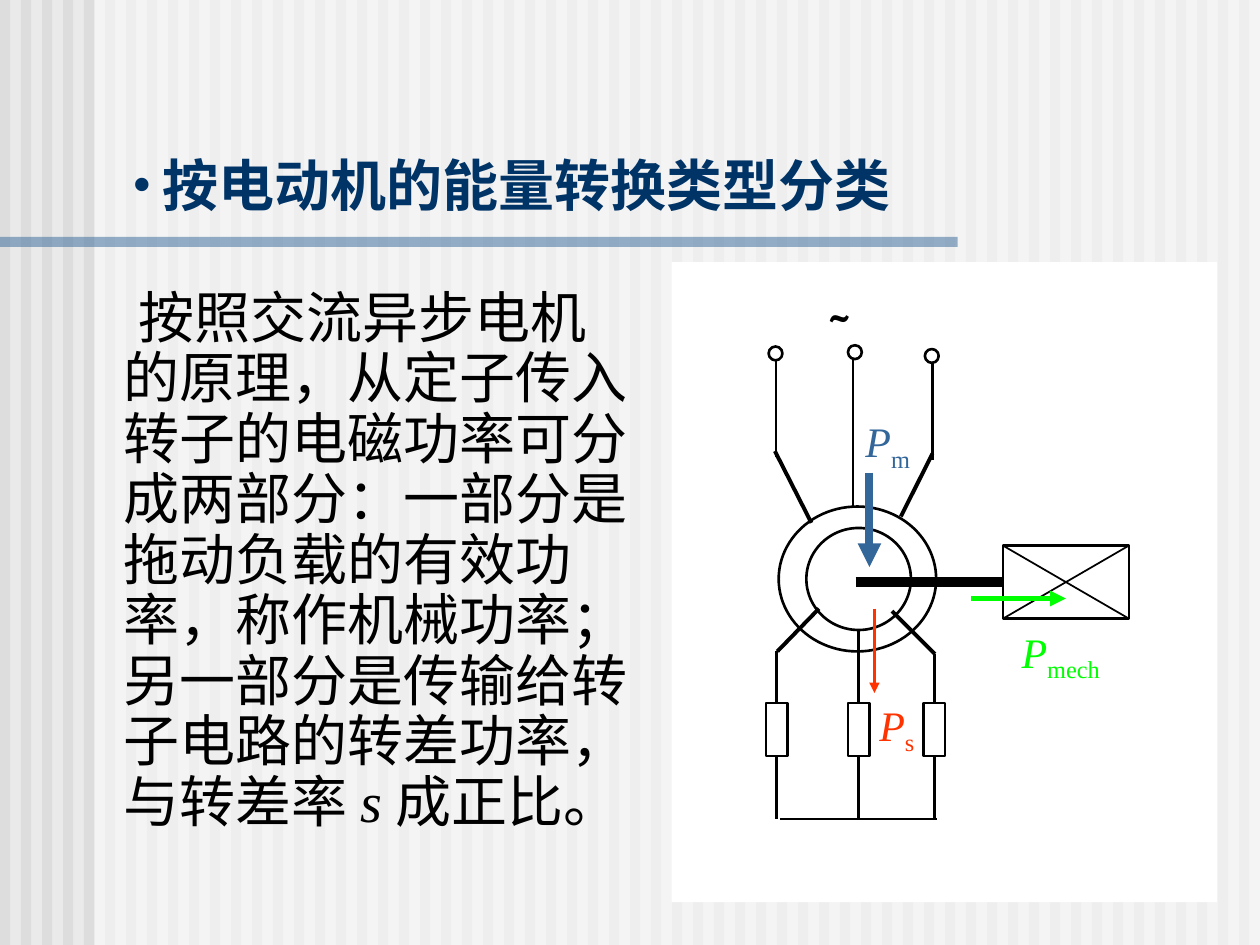
from dataclasses import dataclass
from typing import NamedTuple

from lxml.etree import SubElement
from pptx import Presentation
from pptx.dml.color import RGBColor
from pptx.enum.shapes import MSO_CONNECTOR, MSO_SHAPE
from pptx.enum.text import MSO_ANCHOR
from pptx.oxml.ns import qn
from pptx.util import Inches, Pt


@dataclass(frozen=True)
class Theme:
    back: str = "EAEAEA"
    stripe: str = "DDDDDD"
    white: str = "FFFFFF"
    black: str = "000000"
    title: str = "003366"
    blue: str = "336699"
    green: str = "00FF00"
    red: str = "FF3300"
    font: str = "Times New Roman"
    symbol_font: str = "Karla"
    text_size: int = 32
    label_size: int = 24
    thin: float = 1
    line: float = 1.5
    bold: float = 2.25
    shaft: float = 6


class Run(NamedTuple):
    text: str
    italic: bool = False
    baseline: int = 0


class Wire(NamedTuple):
    x1: float
    y1: float
    x2: float
    y2: float
    width: float


class Power(NamedTuple):
    wire: Wire
    color: str
    sub: str
    x: float
    y: float
    w: float


T = Theme()
RECT, OVAL = MSO_SHAPE.RECTANGLE, MSO_SHAPE.OVAL
TOP, LEFT, BOTTOM = 0, 1, 2


def add_shape(s, kind, x: float, y: float, w: float, h: float,
              fill: str | None = None, line: float = 0, alpha: int = 100):
    sp = s.shapes.add_shape(kind, Inches(x), Inches(y), Inches(w), Inches(h))
    sp.shadow.inherit = False
    if fill:
        sp.fill.solid()
        sp.fill.fore_color.rgb = RGBColor.from_string(fill)
        if alpha < 100:
            clr = sp._element.spPr.find(".//" + qn("a:srgbClr"))
            SubElement(clr, qn("a:alpha"), val=str(alpha * 1000))
    else:
        sp.fill.background()
    if line:
        sp.line.color.rgb = RGBColor.from_string(T.black)
        sp.line.width = Pt(line)
    else:
        sp.line.fill.background()
    return sp


def add_wire(s, wire: Wire, color: str = T.black, arrow: bool = False,
             begin=None, end=None):
    c = s.shapes.add_connector(MSO_CONNECTOR.STRAIGHT, Inches(wire.x1), Inches(wire.y1),
                               Inches(wire.x2), Inches(wire.y2))
    c.line.color.rgb = RGBColor.from_string(color)
    c.line.width = Pt(wire.width)
    if arrow:
        SubElement(c.line._get_or_add_ln(), qn("a:tailEnd"), type="triangle")
    SubElement(c._element.spPr, qn("a:effectLst"))
    if begin:
        c.begin_connect(*begin)
    if end:
        c.end_connect(*end)
    return c


def add_text(s, runs: list[Run], x: float, y: float, w: float, h: float, *,
             size: int = T.label_size, color: str = T.black, font: str = T.font,
             bold: bool = False, anchor=MSO_ANCHOR.TOP, bullet: str = "",
             margin: float = 0, indent: float = 0, spacing: float | None = None):
    tf = s.shapes.add_textbox(Inches(x), Inches(y), Inches(w), Inches(h)).text_frame
    tf.word_wrap = True
    tf.vertical_anchor = anchor
    p = tf.paragraphs[0]
    pPr = p._p.get_or_add_pPr()
    pPr.set("marL", str(Inches(margin)))
    pPr.set("indent", str(Inches(indent)))
    pPr.set("hangingPunct", "0")
    if bullet:
        SubElement(SubElement(pPr, qn("a:buClr")), qn("a:srgbClr"), val=color)
        SubElement(pPr, qn("a:buFont"), typeface=font)
        SubElement(pPr, qn("a:buChar"), char=bullet)
    if spacing:
        p.line_spacing = spacing
    for run in runs:
        r = p.add_run()
        r.text = run.text
        r.font.name = font
        r.font.size = Pt(size)
        r.font.bold = bold
        r.font.italic = run.italic
        r.font.color.rgb = RGBColor.from_string(color)
        if run.baseline:
            r._r.get_or_add_rPr().set("baseline", str(run.baseline * 1000))


def draw_background(s) -> None:
    s.background.fill.solid()
    s.background.fill.fore_color.rgb = RGBColor.from_string(T.back)
    for i in range(60):
        add_shape(s, RECT, i / 6, 0, 0.08, 7.5, T.stripe)
    add_shape(s, RECT, 0.75, 0, 9.25, 7.5, T.white, alpha=50)
    add_shape(s, RECT, 0, 1.88, 7.6, 0.08, T.blue, alpha=50)


def draw_motor(s) -> None:
    add_shape(s, RECT, 5.33, 2.08, 4.33, 5.08, T.white)
    for x, y, bottom, dot in ((6.16, 2.86, 3.63, 6.1), (6.77, 2.85, 4.02, 6.73),
                              (7.4, 2.88, 3.65, 7.34)):
        add_wire(s, Wire(x, bottom, x, y, T.line))
        add_shape(s, OVAL, dot, y - 0.11, 0.11, 0.11, line=T.line)
    add_text(s, [Run("~")], 6.48, 2.25, 0.68, 0.5, font=T.symbol_font, bold=True)

    add_shape(s, OVAL, 6.18, 4.02, 1.25, 1.15, line=T.line)
    add_shape(s, OVAL, 6.4, 4.19, 0.83, 0.81, T.white, T.line)
    load = add_shape(s, RECT, 7.96, 4.33, 1, 0.58, T.white, T.line)
    add_wire(s, Wire(6.79, 4.62, 7.96, 4.62, T.shaft), end=(load, LEFT))
    for wire in (Wire(6.15, 3.58, 6.44, 4.15, T.bold),
                 Wire(7.4, 3.6, 7.15, 4.1, T.bold),
                 Wire(7.96, 4.33, 8.96, 4.91, T.thin),
                 Wire(7.96, 4.91, 8.96, 4.33, T.thin),
                 Wire(7.08, 4.85, 7.42, 5.19, T.bold),
                 Wire(6.17, 5.17, 6.5, 4.83, T.bold),
                 Wire(6.19, 6.5, 7.44, 6.5, T.line)):
        add_wire(s, wire)

    for left, start in ((6.08, 5.17), (6.73, 5), (7.33, 5.19)):
        x = left + 0.085
        resistor = add_shape(s, RECT, left, 5.58, 0.17, 0.42, T.white, T.line)
        add_wire(s, Wire(x, start, x, 5.58, T.line), end=(resistor, TOP))
        add_wire(s, Wire(x, 6, x, 6.5, T.line), begin=(resistor, BOTTOM))


def draw_power(s, power: Power) -> None:
    add_wire(s, power.wire, power.color, arrow=True)
    add_text(s, [Run("P", italic=True), Run(power.sub, baseline=-25)],
             power.x, power.y, power.w, 0.56, color=power.color)


def main() -> None:
    prs = Presentation()
    prs.slide_width, prs.slide_height = Inches(10), Inches(7.5)
    s = prs.slides.add_slide(prs.slide_layouts[6])
    draw_background(s)
    draw_motor(s)
    add_text(s, [Run("按电动机的能量转换类型分类")], 0.95, 1.14, 8.93, 0.64,
             size=T.text_size, color=T.title, bold=True, anchor=MSO_ANCHOR.BOTTOM,
             bullet="•", margin=0.24, indent=-0.24)
    add_text(s, [Run("按照交流异步电机的原理，从定子传入转子的电磁功率可分成两部分：一部分是"
                     "拖动负载的有效功率，称作机械功率；另一部分是传输给转子电路的转差功率，与转差率 "),
                 Run("s ", italic=True), Run("成正比。")],
             0.5, 2.25, 4.67, 4.58, size=T.text_size, margin=0.38, indent=0.12, spacing=0.9)
    for power in (Power(Wire(7.71, 4.75, 8.46, 4.75, 3), T.green, "mech", 8.01, 4.92, 1.04),
                  Power(Wire(6.9, 3.75, 6.9, 4.5, 4.5), T.blue, "m", 6.77, 3.25, 0.62),
                  Power(Wire(6.94, 4.83, 6.94, 5.5, 1.5), T.red, "s", 6.88, 5.5, 0.62)):
        draw_power(s, power)
    prs.save("out.pptx")


if __name__ == "__main__":
    main()
